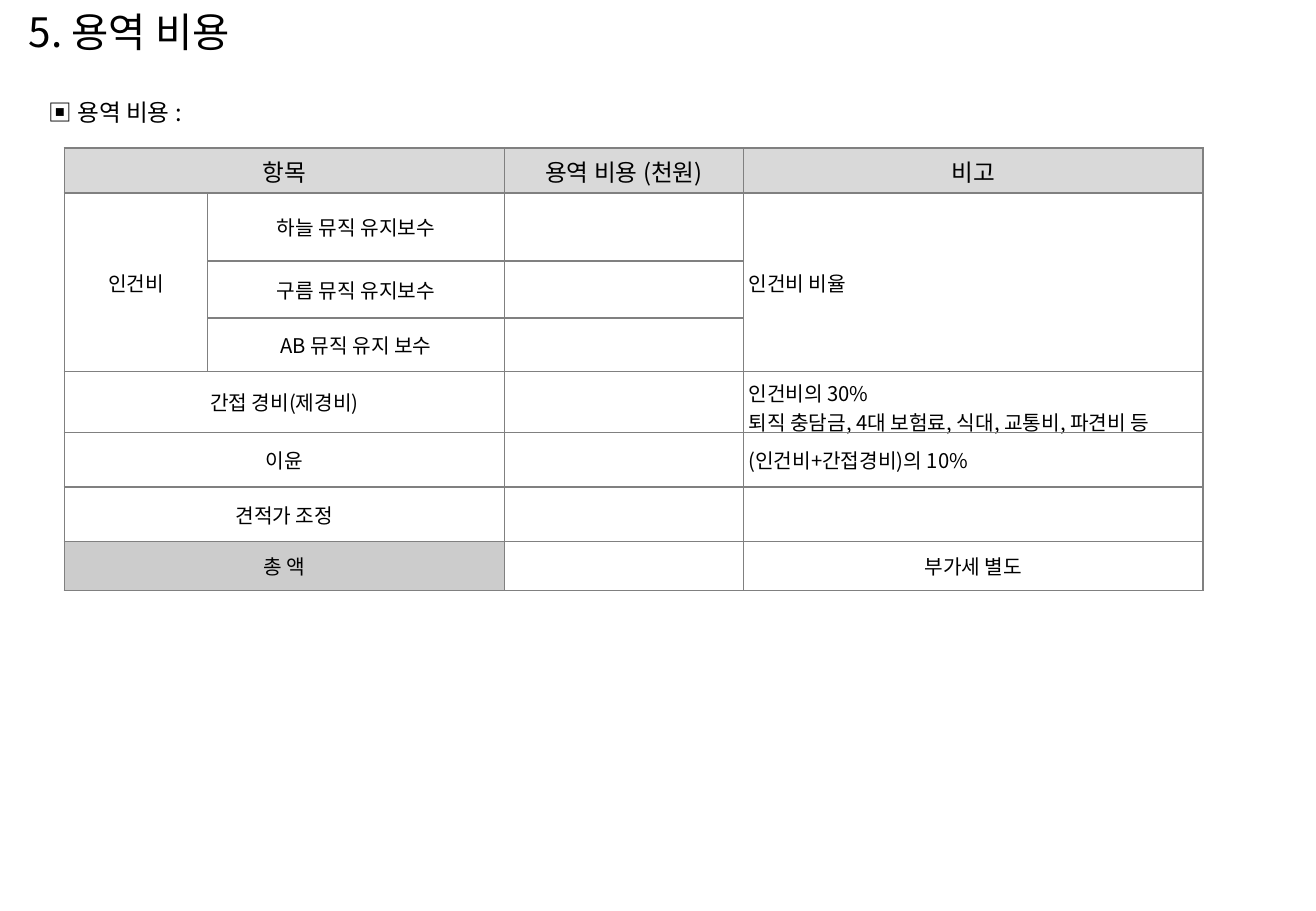
"""Build the service cost slide with its cost table."""
import pptx
import pptx.dml.color
import pptx.enum.text
import pptx.oxml.ns
import pptx.util
from lxml import etree

FONT = "Noto Sans CJK KR"
SLIDE_SIZE = (10.83, 7.5)
TITLE = ("5. 용역 비용", (0.14, 0.02, 9.5, 0.47))
SUBTITLE = ("▣ 용역 비용 :", (0.3, 0.76, 1.43, 0.34))
TABLE_ORIGIN = (0.53, 1.22)
COLUMNS = [1.18, 2.44, 1.97, 3.78]
ROWS = [0.37, 0.56, 0.47, 0.44, 0.45, 0.45, 0.45, 0.4]
CELLS = [
    ["항목", "", "용역 비용 (천원)", "비고"],
    ["인건비", "하늘 뮤직 유지보수", "", "인건비 비율"],
    ["", "구름 뮤직 유지보수", "", ""],
    ["", "AB 뮤직 유지 보수", "", ""],
    ["간접 경비(제경비)", "", "", "인건비의 30%\n퇴직 충담금, 4대 보험료, 식대, 교통비, 파견비 등"],
    ["이윤", "", "", "(인건비+간접경비)의 10%"],
    ["견적가 조정", "", "", ""],
    ["총 액", "", "", "부가세 별도"],
]
MERGES = [((row, 0), (row, 1)) for row in (0, 4, 5, 6, 7)]
MERGES += [((1, column), (3, column)) for column in (0, 3)]
FILLS = {(0, 0): "D9D9D9", (0, 2): "D9D9D9", (0, 3): "D9D9D9", (7, 0): "CCCCCC"}
LEFT_ALIGNED = {(1, 3), (4, 3), (5, 3)}
WIDE_MARGINS = {(2, 1), (3, 1)}
BORDER = "808080"

inches = pptx.util.Inches
qn = pptx.oxml.ns.qn
ALIGN = pptx.enum.text.PP_ALIGN
MIDDLE = pptx.enum.text.MSO_ANCHOR.MIDDLE


def color(value):
    return pptx.dml.color.RGBColor.from_string(value)


def write(frame, text, size=12, align=ALIGN.LEFT, hanging=0):
    for index, line in enumerate(text.split("\n")):
        paragraph = frame.add_paragraph() if index else frame.paragraphs[0]
        paragraph.alignment = align
        if hanging:
            properties = paragraph._p.get_or_add_pPr()
            properties.set("marL", str(inches(hanging)))
            properties.set("indent", str(-inches(hanging)))
        if not line:
            etree.SubElement(paragraph._p, qn("a:endParaRPr"), sz=str(size * 100))
            continue
        run = paragraph.add_run()
        run.text = line
        run.font.size = pptx.util.Pt(size)
        run.font.name = FONT
        run.font.color.rgb = color("000000")
        east_asian = etree.SubElement(run._r.get_or_add_rPr(), qn("a:ea"))
        east_asian.set("typeface", FONT)


def add_text(slide, content, **format_options):
    text, box = content
    shape = slide.shapes.add_textbox(*map(inches, box))
    write(shape.text_frame, text, **format_options)
    return shape.text_frame


def add_borders(cell):
    properties = cell._tc.get_or_add_tcPr()
    for side in ("lnL", "lnR", "lnT", "lnB"):
        line = etree.SubElement(properties, qn(f"a:{side}"), w=str(pptx.util.Pt(1)))
        fill = etree.SubElement(line, qn("a:solidFill"))
        etree.SubElement(fill, qn("a:srgbClr"), val=BORDER)


def format_cell(cell, place, text):
    add_borders(cell)
    if place in FILLS:
        cell.fill.solid()
        cell.fill.fore_color.rgb = color(FILLS[place])
    else:
        cell.fill.background()
    cell.vertical_anchor = MIDDLE
    cell.margin_left = cell.margin_right = inches(0.1 if place in WIDE_MARGINS else 0.04)
    cell.margin_top = cell.margin_bottom = inches(0.05)
    write(cell.text_frame, text, size=12 if place[0] else 14,
          align=ALIGN.LEFT if place in LEFT_ALIGNED else ALIGN.CENTER)


def add_cost_table(slide):
    size = (sum(COLUMNS), sum(ROWS))
    table = slide.shapes.add_table(
        len(ROWS), len(COLUMNS), *map(inches, TABLE_ORIGIN + size)).table
    table.first_row = table.horz_banding = False
    for column, width in zip(table.columns, COLUMNS):
        column.width = inches(width)
    for row, height in zip(table.rows, ROWS):
        row.height = inches(height)
    for row, texts in enumerate(CELLS):
        for column, text in enumerate(texts):
            format_cell(table.cell(row, column), (row, column), text)
    for first, last in MERGES:
        table.cell(*first).merge(table.cell(*last))


def main():
    presentation = pptx.Presentation()
    presentation.slide_width, presentation.slide_height = map(inches, SLIDE_SIZE)
    slide = presentation.slides.add_slide(presentation.slide_layouts[6])
    title = add_text(slide, TITLE, size=24, hanging=0.56)
    title.word_wrap = True
    title.vertical_anchor = MIDDLE
    add_cost_table(slide)
    subtitle = add_text(slide, SUBTITLE, size=14)
    subtitle.word_wrap = False
    subtitle.auto_size = pptx.enum.text.MSO_AUTO_SIZE.SHAPE_TO_FIT_TEXT
    presentation.save("out.pptx")


if __name__ == "__main__":
    main()
